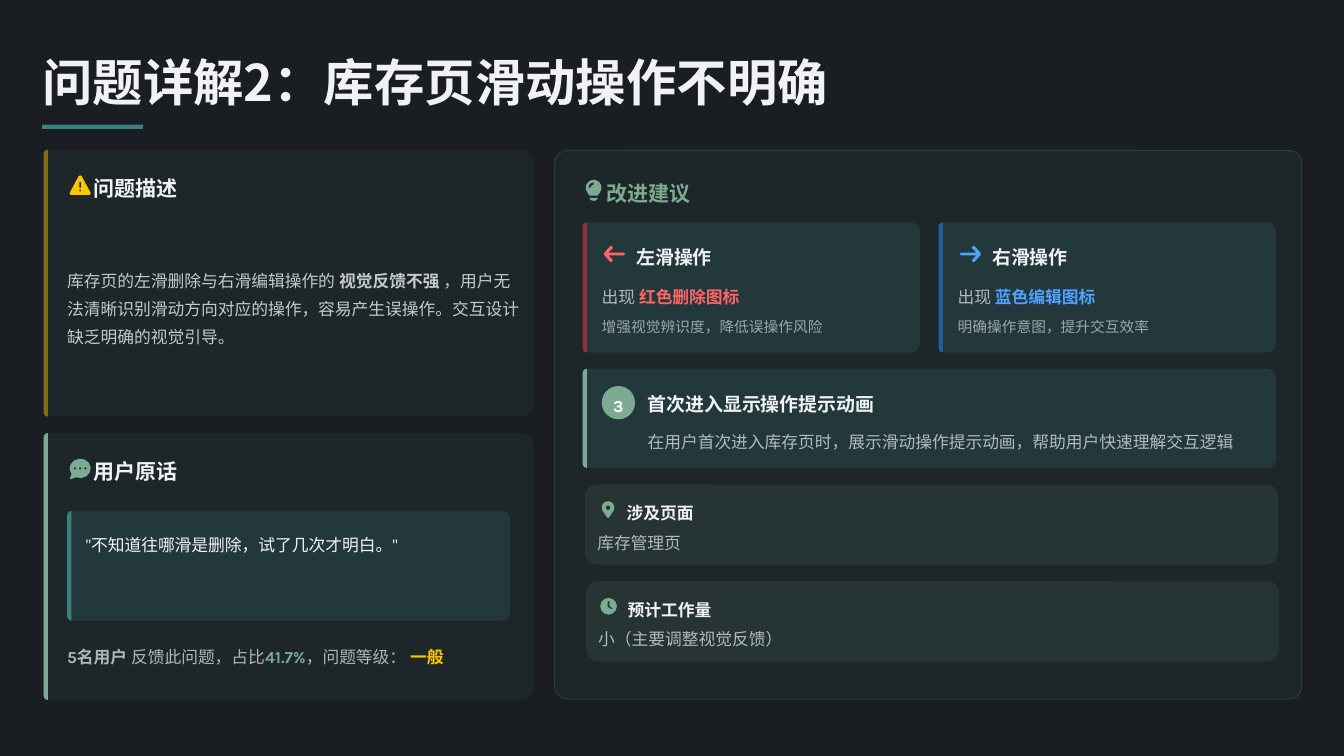
"""Build the slide on unclear swipe actions in the stock page."""
from math import cos, radians, sin

from pptx import Presentation, util as u
from pptx.dml.color import RGBColor
from pptx.enum import shapes as kinds, text as t
from pptx.oxml.ns import qn
from lxml import etree

NIGHT = RGBColor(0x1A, 0x1D, 0x21)
PALE = RGBColor(0xF0, 0xF2, 0xF5)
WHITE = RGBColor(0xFF, 0xFF, 0xFF)
TEAL = RGBColor(0x3C, 0x80, 0x82)
SAGE = RGBColor(0x7D, 0xAA, 0x92)
AMBER = RGBColor(0xF0, 0xB1, 0x00)
GOLD = RGBColor(0xFD, 0xC7, 0x00)
RED = RGBColor(0xFB, 0x2C, 0x36)
ROSE = RGBColor(0xFF, 0x64, 0x67)
BLUE = RGBColor(0x2B, 0x7F, 0xFF)
SKY = RGBColor(0x51, 0xA2, 0xFF)
HAN = "Noto Sans CJK SC"


def arc(x, y, wide, high, start=0, end=360, step=30):
    """Return points along an ellipse, angles running clockwise."""
    count = max(2, round(abs(end - start) / step))
    turns = [radians(start + (end - start) * i / count) for i in range(count + 1)]
    return [(x + wide * cos(a), y + high * sin(a)) for a in turns]


LEFT = [(1, 46), (30, 13), (37, 12), (42, 17), (41, 23), (21, 44), (95, 44), (100, 50),
        (95, 56), (21, 56), (41, 77), (42, 83), (37, 88), (30, 87), (1, 54)]
RIGHT = [(100 - x, y) for x, y in LEFT]
WARN = [[(50, 0), (57, 4), (99, 82), (100, 88), (94, 93), (6, 93), (0, 88), (1, 82), (43, 4)],
        [(46, 31), (54, 31), (54, 60), (46, 60)], arc(50, 72, 5, 5, step=60)]
CHAT = [arc(50, 46, 50, 46, 144, 473) + [(5, 97), (1, 93), (3, 89)],
        *[arc(x, 46, 6, 6, step=60) for x in (25, 50, 75)]]
BULB = [arc(37.5, 37.5, 37.5, 37.5, 140, 400) + [(57, 75), (18, 75)],
        arc(37.5, 86, 19.5, 14, 0, 180),
        arc(37.5, 37.5, 25, 25, 180, 270) + arc(37.5, 37.5, 14, 14, 270, 180)]
PIN = [arc(38, 38, 38, 38, 155, 385) + [(44, 98), (38, 100), (32, 98)],
       arc(38, 39, 14, 14, step=45)]
CLOCK = [arc(50, 50, 50, 50), [(45, 20), (55, 20), (55, 48), (74, 62), (68, 69), (45, 54)]]


def part(box, x, y, wide, high):
    """Return a box placed relative to another box."""
    return box[0] + x, box[1] + y, wide, high


def paint(fill, tint, alpha=100):
    """Give a fill one colour, see-through when alpha is below 100."""
    fill.solid()
    fill.fore_color.rgb = tint
    if alpha < 100:
        node = fill._xPr.find(".//" + qn("a:srgbClr"))
        etree.SubElement(node, qn("a:alpha"), val=str(alpha * 1000))


def coat(shape, tint, alpha=100):
    """Give a shape a flat fill without line or shadow."""
    shape.shadow.inherit = False
    paint(shape.fill, tint, alpha)
    shape.line.fill.background()
    return shape


def draw(slide, loops, tint, alpha=100):
    """Draw closed outlines, given in centimetres, as one shape."""
    loops = [[(u.Cm(x), u.Cm(y)) for x, y in loop] for loop in loops]
    pen = slide.shapes.build_freeform(*loops[0][0], scale=1.0)
    for i, loop in enumerate(loops):
        if i:
            pen.move_to(*loop[0])
        pen.add_line_segments(loop[1:], close=True)
    coat(pen.convert_to_shape(), tint, alpha)


def block(slide, kind, box, tint, alpha=100, rad=None):
    """Draw a preset shape, with a corner radius if one is given."""
    shape = slide.shapes.add_shape(kind, *map(u.Cm, box))
    if rad:
        shape.adjustments[0] = rad / min(box[2:])
    return coat(shape, tint, alpha)


def panel(slide, box, left, right, tint, alpha=100):
    """Draw a box whose left and right corners have their own radius."""
    x, y, wide, high = box
    loop = []
    for rad, far, low, start in ((left, 0, 0, 180), (right, 1, 0, 270),
                                 (right, 1, 1, 0), (left, 0, 1, 90)):
        mid = x + (wide - rad if far else rad)
        row = y + (high - rad if low else rad)
        loop += arc(mid, row, rad, rad, start, start + 90) if rad else [(mid, row)]
    draw(slide, [loop], tint, alpha)


def strip(slide, box, right, alpha, tint, shade=100):
    """Draw a teal card with a coloured strip down its left edge."""
    panel(slide, box, 0.14, right, TEAL, alpha)
    panel(slide, part(box, 0, 0, 0.14, box[3]), 0.14, 0, tint, shade)


def icon(slide, loops, x, y, size, tint):
    """Draw an icon set out on a grid of one hundred."""
    step = size / 100
    draw(slide, [[(x + a * step, y + b * step) for a, b in loop] for loop in loops], tint)


def style(frame, runs, size, tint=PALE, alpha=100, bold=False, space=1.3, face="Karla"):
    """Fill a text frame with one paragraph; a run may change tint and weight."""
    frame.word_wrap = True
    frame.auto_size = t.MSO_AUTO_SIZE.NONE
    frame.vertical_anchor = t.MSO_ANCHOR.MIDDLE
    frame.margin_left = frame.margin_right = frame.margin_top = frame.margin_bottom = 0
    para = frame.paragraphs[0]
    para.alignment = t.PP_ALIGN.LEFT
    para.line_spacing = space
    font = para.font
    font.name, font.size, font.bold = face, u.Pt(size), bold
    paint(font.fill, tint, alpha)
    etree.SubElement(font.fill._xPr, qn("a:ea"), typeface=HAN)
    for words, *look in runs:
        run = para.add_run()
        run.text = words
        if look:
            run.font.bold = True
            if look[0]:
                paint(run.font.fill, look[0])
    return para


def write(slide, box, runs, size, **look):
    """Add a text box; a plain string counts as a single run."""
    frame = slide.shapes.add_textbox(*map(u.Cm, box)).text_frame
    style(frame, [(runs,)] if isinstance(runs, str) else runs, size, **look)


def head(slide, box):
    """Place the slide title with its short rule."""
    title = slide.shapes.title
    title.left, title.top, title.width, title.height = map(u.Cm, box)
    style(title.text_frame, [("问题详解2：库存页滑动操作不明确",)], 48,
          bold=True, space=0.8, face=HAN)
    block(slide, kinds.MSO_SHAPE.RECTANGLE, part(box, 0, 2.11, 3.38, 0.14), TEAL)


def card(slide, box, name, loops, mark, tint, shade):
    """Draw a left-hand card with its icon and heading."""
    strip(slide, box, 0.43, 10, tint, shade)
    icon(slide, loops, box[0] + 0.87, box[1] + 0.86, 0.71, mark)
    write(slide, part(box, 1.68, 0.71, 14.43, 0.99), name, 20, bold=True, space=1.2)


def issue(slide, box):
    """Fill the card that describes the problem."""
    card(slide, box, "问题描述", WARN, GOLD, AMBER, 50)
    write(slide, part(box, 0.79, 2.13, 15.24, 6.15),
          [("库存页的左滑删除与右滑编辑操作的",), (" 视觉反馈不强 ", None),
           ("，用户无法清晰识别滑动方向对应的操作，容易产生误操作。交互设计缺乏明确的视觉引导。",)],
          16, alpha=80, space=1.4)


def voice(slide, box):
    """Fill the card that quotes the users."""
    card(slide, box, "用户原话", CHAT, SAGE, SAGE, 100)
    strip(slide, part(box, 0.79, 2.62, 14.88, 3.68), 0.25, 20, TEAL)
    write(slide, part(box, 1.42, 3.15, 13.97, 0.91),
          "\"不知道往哪滑是删除，试了几次才明白。\"", 16, space=1.4)
    write(slide, part(box, 0.79, 6.98, 15.24, 0.84),
          [("5名用户 ", None), ("反馈此问题，占比",), ("41.7%", SAGE),
           ("，问题等级：",), (" 一般", GOLD)], 16, alpha=70)


def swipe(slide, box, name, loop, edge, tint, key, note):
    """Draw the advice card for one swipe direction."""
    strip(slide, box, 0.28, 20, edge, 50)
    icon(slide, [loop], box[0] + 0.71, box[1] + 0.71, 0.71, tint)
    write(slide, part(box, 1.8, 0.56, 2.84, 0.99), name, 18, bold=True)
    write(slide, part(box, 0.64, 1.98, 10.41, 0.84), [("出现",), (" " + key, tint)], 16, alpha=70)
    write(slide, part(box, 0.64, 3.1, 10.36, 0.71), note, 14, alpha=60, space=1.2)


def tip(slide, box):
    """Draw the numbered advice card."""
    strip(slide, box, 0.28, 20, SAGE)
    badge = block(slide, kinds.MSO_SHAPE.OVAL, part(box, 0.64, 0.58, 1.12, 1.12), SAGE)
    style(badge.text_frame, [("3",)], 16, WHITE, bold=True).alignment = t.PP_ALIGN.CENTER
    write(slide, part(box, 2.18, 0.58, 20.07, 0.99), "首次进入显示操作提示动画", 18, bold=True)
    write(slide, part(box, 2.18, 1.85, 20.04, 0.91),
          "在用户首次进入库存页时，展示滑动操作提示动画，帮助用户快速理解交互逻辑",
          16, alpha=70, space=1.4)


def fact(slide, box, loops, inset, name, note):
    """Draw a card with one plain fact."""
    block(slide, kinds.MSO_SHAPE.ROUNDED_RECTANGLE, box, SAGE, 10, rad=0.4)
    icon(slide, loops, box[0] + inset, box[1] + 0.56, 0.56, SAGE)
    write(slide, part(box, 1.4, 0.43, 3.1, 0.84), name, 16, bold=True)
    write(slide, part(box, 0.41, 1.42, 10.82, 0.84), note, 16, alpha=70)


def advice(slide, box):
    """Fill the right-hand panel with the proposed changes."""
    frame = block(slide, kinds.MSO_SHAPE.ROUNDED_RECTANGLE, box, TEAL, 10, rad=0.43)
    frame.line.width = u.Pt(1)
    paint(frame.line.fill, TEAL, 30)
    icon(slide, BULB, box[0] + 1.04, box[1] + 0.99, 0.71, SAGE)
    write(slide, part(box, 1.75, 0.86, 22.83, 0.99), "改进建议", 20,
          tint=SAGE, bold=True, space=1.2)
    moves = [("左滑操作", LEFT, RED, ROSE, "红色删除图标", "增强视觉辨识度，降低误操作风险"),
             ("右滑操作", RIGHT, BLUE, SKY, "蓝色编辑图标", "明确操作意图，提升交互效率")]
    for i, move in enumerate(moves):
        swipe(slide, part(box, 0.94 + 11.96 * i, 2.42, 11.33, 4.37), *move)
    tip(slide, part(box, 0.94, 7.34, 23.29, 3.33))
    facts = [(PIN, 0.56, "涉及页面", "库存管理页"),
             (CLOCK, 0.48, "预计工作量", "小（主要调整视觉反馈）")]
    for i, item in enumerate(facts):
        fact(slide, part(box, 1.02 + 0.03 * i, 11.23 + 3.25 * i, 23.29, 2.69), *item)


def main():
    """Build and save the deck."""
    deck = Presentation()
    deck.slide_width, deck.slide_height = u.Cm(45.16), u.Cm(25.4)
    slide = deck.slides.add_slide(deck.slide_layouts[5])
    paint(slide.background.fill, NIGHT)
    head(slide, (1.42, 2.08, 43.18, 1.7))
    issue(slide, (1.47, 5.03, 16.46, 8.97))
    voice(slide, (1.47, 14.55, 16.46, 8.97))
    advice(slide, (18.64, 5.05, 25.1, 18.44))
    deck.save("out.pptx")


if __name__ == "__main__":
    main()
